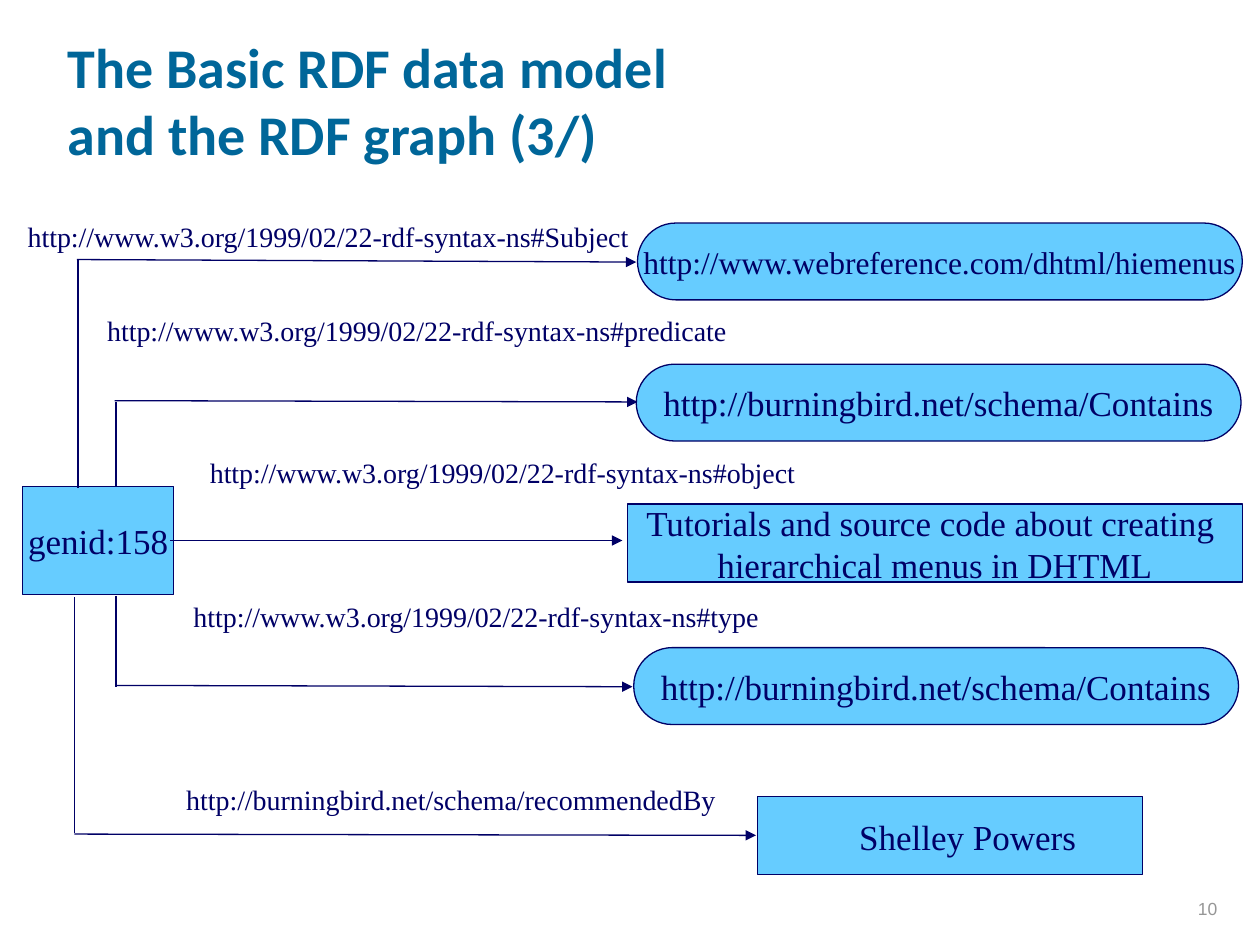
"""Draw the RDF graph of the genid:158 node on one slide."""
from lxml import etree
from pptx import Presentation
from pptx import util as u
from pptx.dml.color import RGBColor
from pptx.enum import shapes, text
from pptx.oxml.ns import qn

NAVY = RGBColor(0x00, 0x00, 0x66)
SKY = RGBColor(0x66, 0xCC, 0xFF)
TEAL = RGBColor(0x00, 0x66, 0x99)
GRAY = RGBColor(0x96, 0x96, 0x96)
SERIF = "Times New Roman"
COLUMNS, ROWS = 100, 75
CELL = u.Inches(0.1)
PILL = shapes.MSO_SHAPE.ROUNDED_RECTANGLE
BOX = shapes.MSO_SHAPE.RECTANGLE
SYNTAX = "http://www.w3.org/1999/02/22-rdf-syntax-ns#"
CONTAINS = "http://burningbird.net/schema/Contains"

VALUES = [
    (PILL, (50.6, 17.7, 48, 6.1), "http://www.webreference.com/dhtml/hiemenus", 18),
    (PILL, (50.5, 28.9, 48, 6.1), CONTAINS, 20),
    (BOX, (49.8, 40, 48.8, 6.2),
     "Tutorials and source code about creating \nhierarchical menus in DHTML", 20),
    (PILL, (50.3, 51.4, 48, 6.1), CONTAINS, 20),
    (BOX, (60.1, 63.2, 30.6, 6.2), "", 20),
]
PREDICATES = [
    ((1.1, 16.9, 49.9, 3.7), SYNTAX + "Subject"),
    ((7.4, 24.4, 51.4, 3.7), SYNTAX + "predicate"),
    ((15.6, 35.7, 48.6, 3.7), SYNTAX + "object"),
    ((14.3, 47.1, 47, 3.7), SYNTAX + "type"),
    ((13.5, 61.6, 44.6, 3.7), "http://burningbird.net/schema/recommendedBy"),
]
STEMS = [(6.2, 38.7, 20.6), (9.2, 38.6, 31.9), (9.2, 47.3, 54.5), (5.9, 47.4, 66.1)]
ARROWS = [
    (6.1, 20.6, 50.5, 20.8),
    (9.1, 31.8, 50.6, 31.9),
    (13.5, 42.9, 49.4, 42.9),
    (9.3, 54.4, 50.2, 54.5),
    (5.9, 66.2, 60, 66.3),
]


def cells(lengths):
    """Turn grid columns and rows into slide lengths."""
    return [u.Emu(round(length * CELL)) for length in lengths]


def write(holder, words, *, size, font=SERIF, color=NAVY, bold=False, wrap=False,
          grow=False, align=text.PP_ALIGN.CENTER, anchor=text.MSO_ANCHOR.TOP):
    """Put formatted text into a shape or text box."""
    frame = holder.text_frame
    frame.text = words
    frame.word_wrap = wrap
    if grow:
        frame.auto_size = text.MSO_AUTO_SIZE.SHAPE_TO_FIT_TEXT
    frame.vertical_anchor = anchor
    for paragraph in frame.paragraphs:
        paragraph.alignment = align
        for run in paragraph.runs:
            run.font.name = font
            run.font.size = u.Pt(size)
            run.font.bold = bold
            run.font.color.rgb = color


def add_label(slide, place, words, **style):
    """Add a text box at a grid place."""
    write(slide.shapes.add_textbox(*cells(place)), words, **style)


def add_node(slide, outline, place, words, size):
    """Add a graph node with centred text."""
    node = slide.shapes.add_shape(outline, *cells(place))
    node.shadow.inherit = False
    if outline == PILL:
        node.adjustments[0] = 0.5
    node.fill.solid()
    node.fill.fore_color.rgb = SKY
    node.line.color.rgb = NAVY
    node.line.width = u.Pt(0.75)
    if words:
        write(node, words, size=size, anchor=text.MSO_ANCHOR.MIDDLE)


def add_edge(slide, ends, arrow=False):
    """Add a straight edge, with an arrowhead at its end if asked."""
    edge = slide.shapes.add_connector(shapes.MSO_CONNECTOR.STRAIGHT, *cells(ends))
    edge.line.color.rgb = NAVY
    edge.line.width = u.Pt(0.75)
    if arrow:
        etree.SubElement(edge.line._get_or_add_ln(), qn("a:tailEnd"), type="triangle")
    etree.SubElement(edge._element.spPr, qn("a:effectLst"))


def main():
    """Build and save the slide."""
    deck = Presentation()
    deck.slide_width, deck.slide_height = COLUMNS * CELL, ROWS * CELL
    slide = deck.slides.add_slide(deck.slide_layouts[6])

    add_label(slide, (4.4, 1.2, 85, 12.5),
              "The Basic RDF data model \vand the RDF graph (3/)",
              size=32, font="Calibri", color=TEAL, bold=True, wrap=True,
              align=text.PP_ALIGN.LEFT, anchor=text.MSO_ANCHOR.BOTTOM)
    add_node(slide, BOX, (1.8, 38.6, 12, 8.6), "genid:158", 20)
    for value in VALUES:
        add_node(slide, *value)
    add_label(slide, (66.8, 64.2, 20, 4.4), "Shelley Powers", size=20, grow=True)
    for column, start, end in STEMS:
        add_edge(slide, (column, start, column, end))
    for ends in ARROWS:
        add_edge(slide, ends, arrow=True)
    for place, predicate in PREDICATES:
        add_label(slide, place, predicate, size=16, grow=True)
    add_label(slide, (76.8, 68.4, 20.8, 5), "10", size=10, font="Arial", color=GRAY,
              wrap=True, align=text.PP_ALIGN.RIGHT, anchor=text.MSO_ANCHOR.BOTTOM)
    deck.save("out.pptx")


if __name__ == "__main__":
    main()
